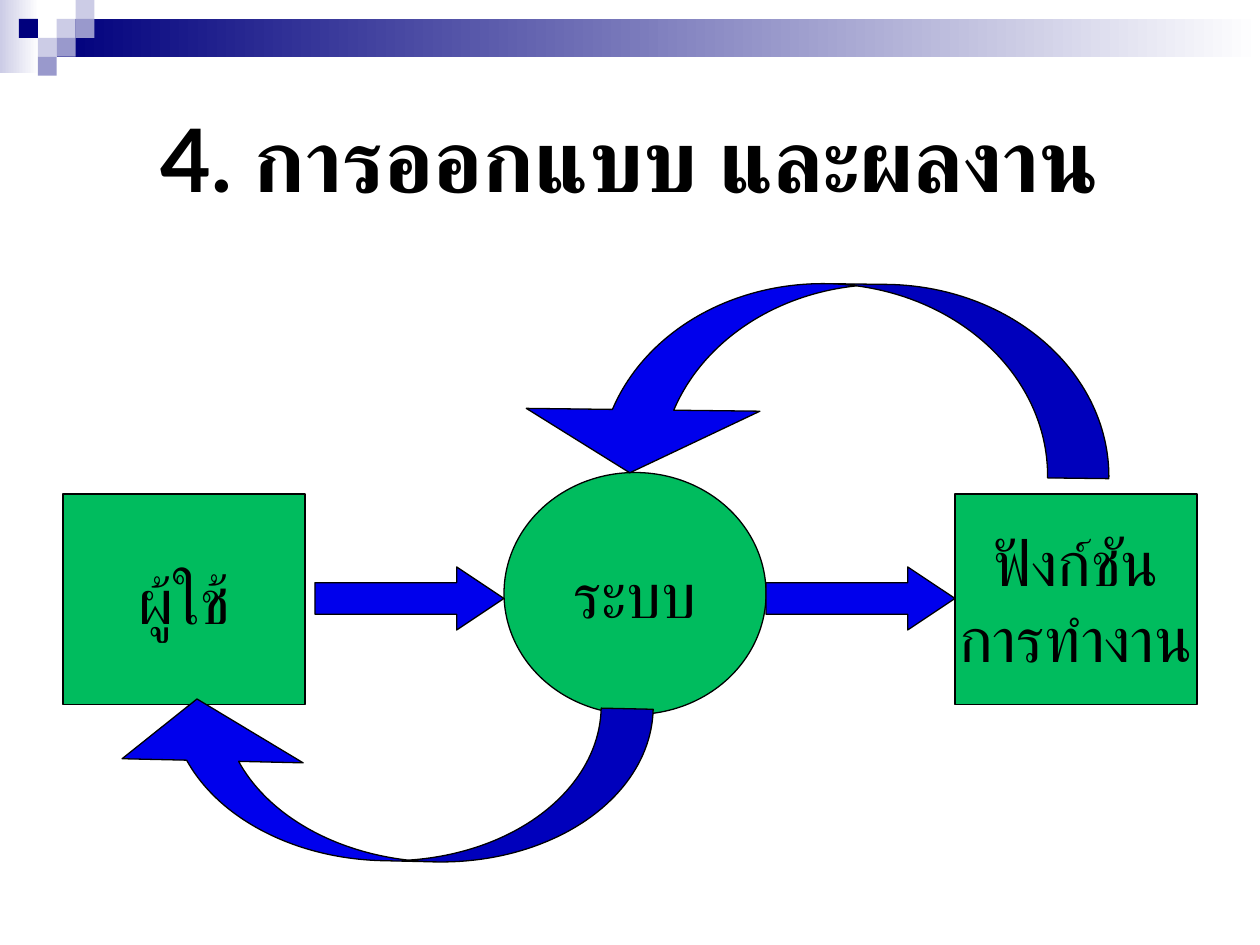
import pptx
import pptx.util
import pptx.dml.color
import pptx.enum.shapes
import pptx.enum.text
import pptx.oxml

Inches = pptx.util.Inches
KIND = pptx.enum.shapes.MSO_SHAPE


class Theme:
    navy, lilac, pale, white = "00007D", "9999CC", "CCCCE6", "FFFFFF"
    green, blue, black = "00BC5E", "0000EC", "000000"
    font, serif = "Lato", "Times New Roman"
    title, body, line = 50, 36, 0.75


def color(code):
    return pptx.dml.color.RGBColor.from_string(code)


def write(shape, text, size, font, bold=False, wrap=False):
    frame = shape.text_frame
    frame.text = text
    frame.word_wrap = wrap
    frame.vertical_anchor = pptx.enum.text.MSO_ANCHOR.MIDDLE
    for para in frame.paragraphs:
        para.alignment = pptx.enum.text.PP_ALIGN.CENTER
        for run in para.runs:
            run.font.size = pptx.util.Pt(size)
            run.font.bold = bold
            run.font.color.rgb = color(Theme.black)
            run.font.name = font
            # Thai letters take the complex-script font
            thai = pptx.oxml.parse_xml(
                '<a:cs xmlns:a="http://schemas.openxmlformats.org/'
                f'drawingml/2006/main" typeface="{font}"/>')
            run.font._element.append(thai)


def block(slide, kind, box, fill, line=Theme.black):
    shape = slide.shapes.add_shape(kind, *map(Inches, box))
    shape.shadow.inherit = False
    shape.fill.solid()
    shape.fill.fore_color.rgb = color(fill)
    if line:
        shape.line.color.rgb = color(line)
        shape.line.width = pptx.util.Pt(Theme.line)
    else:
        shape.line.fill.background()
    return shape


def fade(slide, box, start):
    shape = block(slide, KIND.RECTANGLE, box, start, None)
    shape.fill.gradient()
    shape.fill.gradient_angle = 0
    for stop, code in zip(shape.fill.gradient_stops, (start, Theme.white)):
        stop.color.rgb = color(code)


def node(slide, kind, box, text, font=Theme.font):
    write(block(slide, kind, box, Theme.green), text, Theme.body, font)


def arrow(slide, kind, box, sizes, turn=0):
    shape = block(slide, kind, box, Theme.blue)
    shape.rotation = turn
    for i, size in enumerate(sizes):
        shape.adjustments[i] = size


def banner(slide):
    fade(slide, (0, 0, 0.31, 0.58), Theme.pale)
    fade(slide, (0.45, 0.15, 9.55, 0.3), Theme.navy)
    side = 0.15
    tiles = [(3, 1, Theme.pale), (4, 0, Theme.pale), (4, 1, Theme.lilac),
             (2, 2, Theme.pale), (1, 1, Theme.navy), (3, 2, Theme.lilac),
             (2, 3, Theme.lilac)]
    for col, row, fill in tiles:
        block(slide, KIND.RECTANGLE, (col * side, row * side, side, side),
              fill, None)


def main():
    deck = pptx.Presentation()
    deck.slide_width, deck.slide_height = Inches(10), Inches(7.5)
    slide = deck.slides.add_slide(deck.slide_layouts[6])

    # Banner and title
    banner(slide)
    title = slide.shapes.add_textbox(*map(Inches, (0.5, 0.5, 9, 1.5)))
    write(title, "4. การออกแบบ และผลงาน", Theme.title, Theme.font, True, True)

    # User, system and functions, with the arrows between them
    node(slide, KIND.RECTANGLE, (0.5, 3.92, 1.92, 1.67), "ผู้ใช้")
    arrow(slide, KIND.RIGHT_ARROW, (2.5, 4.5, 1.5, 0.5), (0.5, 0.75))
    node(slide, KIND.OVAL, (4, 3.75, 2.08, 1.92), "ระบบ", Theme.serif)
    node(slide, KIND.RECTANGLE, (7.58, 3.92, 1.92, 1.67),
         "ฟังก์ชัน\nการทำงาน")
    arrow(slide, KIND.RIGHT_ARROW, (6.08, 4.5, 1.5, 0.5), (0.5, 0.75))

    # Return paths: system to user, functions to system
    arrow(slide, KIND.CURVED_DOWN_ARROW, (0.83, 5.58, 4.34, 1.25),
          (0.33, 1.15, 0.39), 181.3)
    arrow(slide, KIND.CURVED_UP_ARROW, (4.08, 2.25, 4.73, 1.52),
          (0.32, 1.22, 0.33), 180.7)

    deck.save("out.pptx")


if __name__ == "__main__":
    main()
